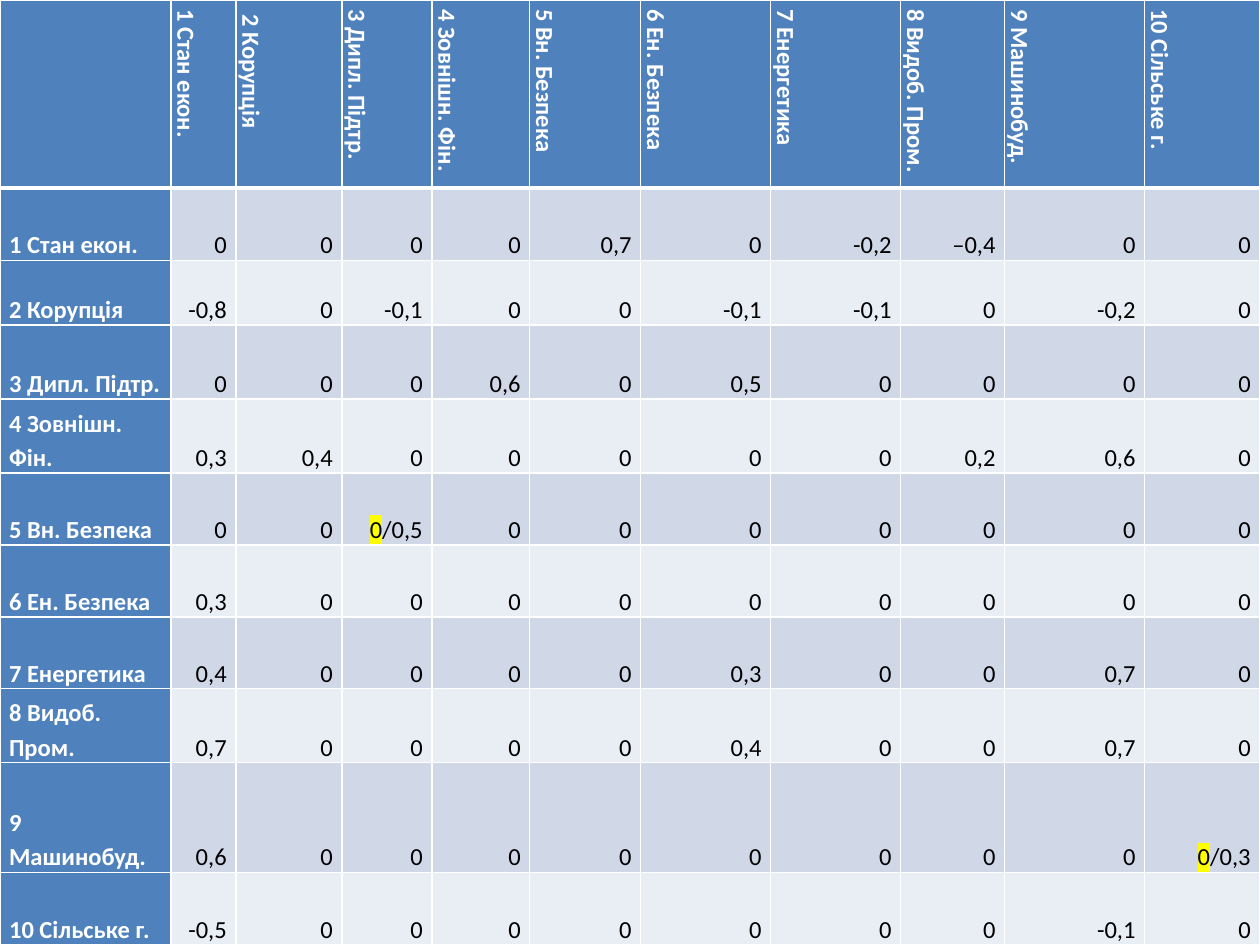
from pptx import Presentation
from pptx.dml.color import RGBColor as RGB
from pptx.enum.text import MSO_ANCHOR as Anchor, PP_ALIGN as Align
from pptx.oxml import parse_xml
from pptx.oxml.ns import nsdecls
from pptx.util import Pt

BLUE, WHITE, BLACK, YELLOW = "4F81BD", "FFFFFF", "000000", "FFFF00"
BANDS = ["D0D8E8", "E9EDF4"]
WIDTHS = [97.7, 37.1, 60.6, 51.4, 56, 63.4, 74.3, 74.3, 59.4, 80, 65.8]
HEIGHTS = [107.4, 41.4, 37, 42.3, 42.3, 41.1, 41.1, 41.1, 42.3, 62.7, 41.3]

NAMES = ["1 Стан екон.", "2 Корупція", "3 Дипл. Підтр.", "4 Зовнішн. Фін.",
         "5 Вн. Безпека", "6 Ен. Безпека", "7 Енергетика",
         "8 Видоб. Пром.", "9 Машинобуд.", "10 Сільське г."]
VALUES = """
0 0 0 0 0,7 0 -0,2 –0,4 0 0
-0,8 0 -0,1 0 0 -0,1 -0,1 0 -0,2 0
0 0 0 0,6 0 0,5 0 0 0 0
0,3 0,4 0 0 0 0 0 0,2 0,6 0
0 0 0/0,5 0 0 0 0 0 0 0
0,3 0 0 0 0 0 0 0 0 0
0,4 0 0 0 0 0,3 0 0 0,7 0
0,7 0 0 0 0 0,4 0 0 0,7 0
0,6 0 0 0 0 0 0 0 0 0/0,3
-0,5 0 0 0 0 0 0 0 -0,1 0
"""


def color(code):
    return RGB.from_string(code)


def border(cell, side, width):
    cell._tc.get_or_add_tcPr().append(parse_xml(
        f'<a:ln{side} {nsdecls("a")} w="{Pt(width)}"><a:solidFill>'
        f'<a:srgbClr val="{WHITE}"/></a:solidFill></a:ln{side}>'))


def mark(run):
    """Highlight a run in yellow."""
    fill = run._r.rPr.find("{*}solidFill")
    fill.addnext(parse_xml(f'<a:highlight {nsdecls("a")}>'
                           f'<a:srgbClr val="{YELLOW}"/></a:highlight>'))


def style(cell, fill, top=1, base=1):
    for side, width in zip("LRTB", (1, 1, top, base)):
        border(cell, side, width)
    cell.fill.solid()
    cell.fill.fore_color.rgb = color(fill)
    cell.margin_left = cell.margin_right = Pt(5.2)
    cell.margin_top = cell.margin_bottom = 0
    cell.vertical_anchor = Anchor.BOTTOM


def write(cell, text, ink, bold=False, align=Align.LEFT):
    para = cell.text_frame.paragraphs[0]
    para.alignment = align
    para.line_spacing = 1.15
    # A slash parts a marked old value from the new one
    old, slash, new = text.partition("/")
    for part in filter(None, (old, slash + new)):
        run = para.add_run()
        run.text = part
        font = run.font
        font.name, font.size, font.bold = "Calibri", Pt(14), bold
        font.color.rgb = color(ink)
    if slash:
        mark(para.runs[0])


def add_grid(slide):
    count = len(NAMES) + 1
    frame = slide.shapes.add_table(count, count, 0, 0, Pt(720), Pt(540))
    grid = frame.table
    grid.first_row = grid.horz_banding = False
    for col, width in zip(grid.columns, WIDTHS):
        col.width = Pt(width)
    for row, height in zip(grid.rows, HEIGHTS):
        row.height = Pt(height)
    return grid


def fill_heads(grid):
    style(grid.cell(0, 0), BLUE, base=3)
    for i, name in enumerate(NAMES, 1):
        head, side = grid.cell(0, i), grid.cell(i, 0)
        style(head, BLUE, base=3)
        head._tc.tcPr.set("vert", "vert")
        write(head, " " + name if i == 2 else name, WHITE, True)
        style(side, BLUE, top=3 if i == 1 else 1)
        write(side, name, WHITE, True)


def fill_body(grid):
    for r, line in enumerate(VALUES.strip().splitlines(), 1):
        for c, value in enumerate(line.split(), 1):
            cell = grid.cell(r, c)
            style(cell, BANDS[(r - 1) % 2], top=3 if r == 1 else 1)
            write(cell, value, BLACK, align=Align.RIGHT)


def main():
    deck = Presentation()
    deck.slide_width, deck.slide_height = Pt(720), Pt(540)
    slide = deck.slides.add_slide(deck.slide_layouts[6])
    grid = add_grid(slide)
    fill_heads(grid)
    fill_body(grid)
    deck.save("out.pptx")


main()
